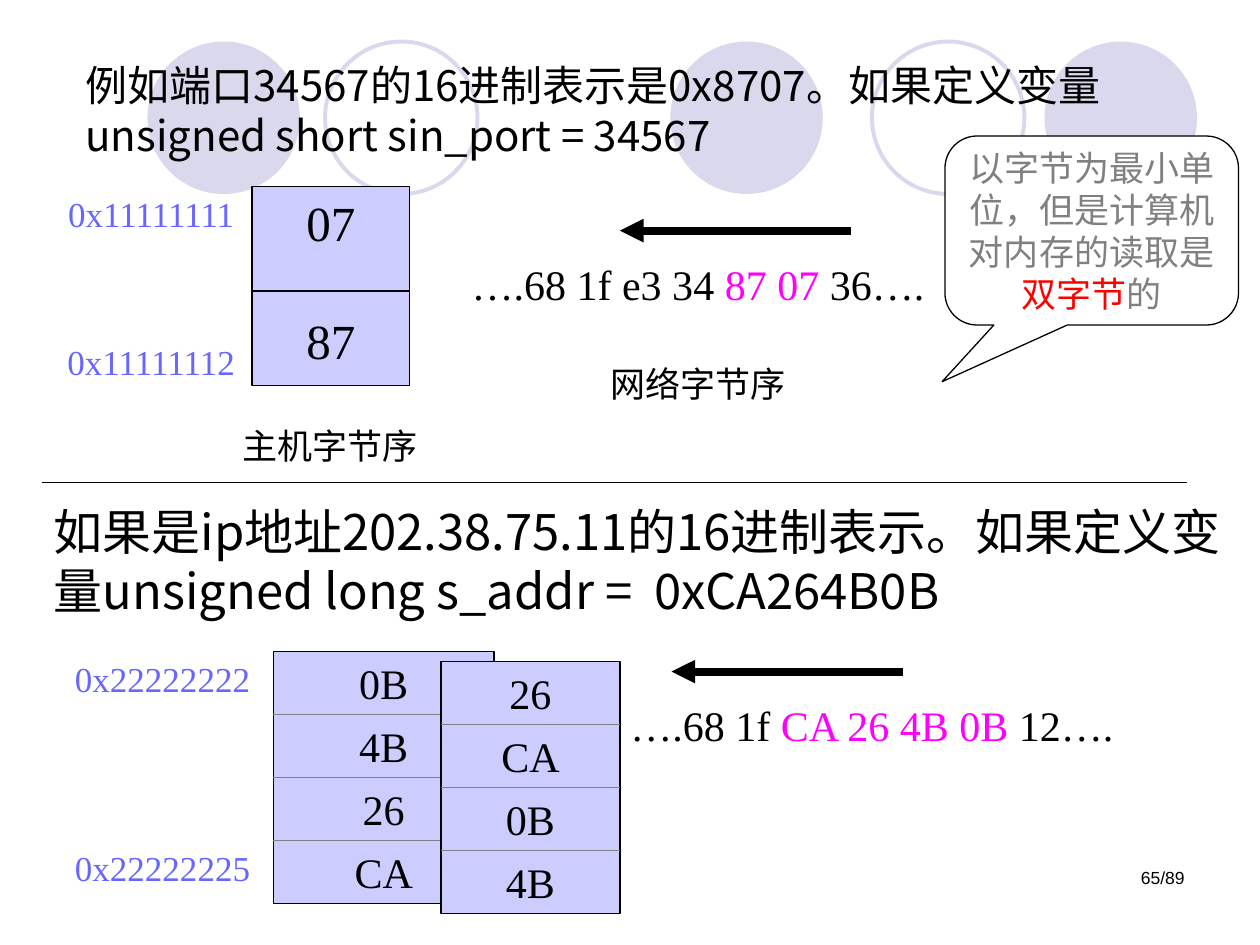
import pptx
import pptx.util
import pptx.dml.color
import pptx.enum.shapes
import pptx.enum.text
import pptx.oxml.ns
import lxml.etree

Inches, Pt = pptx.util.Inches, pptx.util.Pt
RGBColor = pptx.dml.color.RGBColor
SHAPES = pptx.enum.shapes.MSO_SHAPE
ALIGN = pptx.enum.text.PP_ALIGN
ANCHOR = pptx.enum.text.MSO_ANCHOR
qn = pptx.oxml.ns.qn

BLACK = RGBColor(0x00, 0x00, 0x00)
WHITE = RGBColor(0xFF, 0xFF, 0xFF)
GRAY = RGBColor(0x80, 0x80, 0x80)
RED = RGBColor(0xFF, 0x00, 0x00)
MAGENTA = RGBColor(0xFF, 0x00, 0xFF)
ADDRESS_BLUE = RGBColor(0x67, 0x67, 0xFF)
CELL_LILAC = RGBColor(0xCC, 0xCC, 0xFF)
CIRCLE_LILAC = RGBColor(0xD9, 0xD8, 0xEC)
SERIF, SANS, CJK = "Times New Roman", "Arial", "Noto Sans CJK JP"

presentation = pptx.Presentation()
presentation.slide_width = Inches(10)
presentation.slide_height = Inches(7.5)
slide = presentation.slides.add_slide(presentation.slide_layouts[6])


def add_text(left, top, width, height, runs, size, font=SERIF, align=ALIGN.CENTER):
    """Add a wrapped one-paragraph text box; runs are (text, colour) pairs."""
    box = slide.shapes.add_textbox(Inches(left), Inches(top), Inches(width), Inches(height))
    box.text_frame.word_wrap = True
    paragraph = box.text_frame.paragraphs[0]
    paragraph.alignment = align
    paragraph.font.size = Pt(size)
    paragraph.font.name = font
    for text, color in runs:
        run = paragraph.add_run()
        run.text = text
        run.font.color.rgb = color


def add_line(start_x, end_x, y, color=BLACK, width=0.75, arrow=False):
    """Add a horizontal line, with an arrowhead at its end if arrow is set."""
    connector = slide.shapes.add_connector(
        pptx.enum.shapes.MSO_CONNECTOR.STRAIGHT,
        Inches(start_x), Inches(y), Inches(end_x), Inches(y))
    connector.line.color.rgb = color
    connector.line.width = Pt(width)
    if arrow:
        lxml.etree.SubElement(connector.line._get_or_add_ln(), qn("a:tailEnd"), type="triangle")
    lxml.etree.SubElement(connector._element.spPr, qn("a:effectLst"))


# Background circles
for left, filled in [(5.32, True), (8.29, True), (1.17, True), (6.92, False), (2.58, False)]:
    circle = slide.shapes.add_shape(
        SHAPES.OVAL, Inches(left), Inches(0.33), Inches(1.21), Inches(1.21))
    circle.shadow.inherit = False
    if filled:
        circle.fill.solid()
        circle.fill.fore_color.rgb = CIRCLE_LILAC
        circle.line.fill.background()
    else:
        circle.fill.background()
        circle.line.color.rgb = CIRCLE_LILAC
        circle.line.width = Pt(2.25)

# Port example: two bytes in host memory
add_text(0.58, 0.42, 8.33, 0.9,
         [("例如端口34567的16进制表示是0x8707。如果定义变量unsigned short sin_port = 34567", BLACK)],
         24, CJK, ALIGN.LEFT)
port_memory = slide.shapes.add_shape(
    SHAPES.RECTANGLE, Inches(2), Inches(1.48), Inches(1.25), Inches(1.58))
port_memory.shadow.inherit = False
port_memory.fill.solid()
port_memory.fill.fore_color.rgb = CELL_LILAC
port_memory.line.color.rgb = BLACK
port_memory.line.width = Pt(0.75)
port_frame = port_memory.text_frame
port_frame.word_wrap = False
port_frame.vertical_anchor = ANCHOR.TOP
port_frame.text = "07\n87"
for paragraph in port_frame.paragraphs:
    paragraph.alignment = ALIGN.CENTER
    paragraph.font.size = Pt(28)
    paragraph.font.name = SERIF
    paragraph.font.color.rgb = BLACK
port_frame.paragraphs[1].space_before = Pt(34)
add_line(2, 3.25, 2.31)

# Memory addresses and byte order captions
for left, top, text, color in [
    (0.33, 1.48, "0x11111111", ADDRESS_BLUE),
    (0.33, 2.65, "0x11111112", ADDRESS_BLUE),
    (0.42, 5.17, "0x22222222", ADDRESS_BLUE),
    (0.42, 6.67, "0x22222225", ADDRESS_BLUE),
    (1.75, 3.32, "主机字节序", BLACK),
    (4.67, 2.83, "网络字节序", BLACK),
]:
    add_text(left, top, 1.74, 0.44, [(text, color)], 20)

# Network byte streams
add_text(3.58, 2, 3.92, 0.5,
         [("….68 1f e3 34 ", BLACK), ("87 07", MAGENTA), (" 36….", BLACK)], 24)
add_line(6.75, 4.92, 1.83, width=4.5, arrow=True)
add_text(4.42, 5.5, 5, 0.5,
         [("….68 1f ", BLACK), ("CA 26 4B 0B ", MAGENTA), ("12….", BLACK)], 24)
add_line(7.17, 5.33, 5.33, width=4.5, arrow=True)

# Callout
callout = slide.shapes.add_shape(
    SHAPES.ROUNDED_RECTANGULAR_CALLOUT, Inches(7.5), Inches(1.08), Inches(2.33), Inches(1.5))
callout.shadow.inherit = False
for index, value in enumerate([-0.51, 0.8, 0.17]):
    callout.adjustments[index] = value
callout.fill.solid()
callout.fill.fore_color.rgb = WHITE
callout.line.color.rgb = BLACK
callout.line.width = Pt(0.75)
callout.text_frame.word_wrap = True
callout.text_frame.vertical_anchor = ANCHOR.MIDDLE
paragraph = callout.text_frame.paragraphs[0]
paragraph.alignment = ALIGN.CENTER
paragraph.font.size = Pt(20)
paragraph.font.name = SERIF
for text, color in [("以字节为最小单位，但是计算机对内存的读取是", GRAY), ("双字节", RED), ("的", GRAY)]:
    run = paragraph.add_run()
    run.text = text
    run.font.color.rgb = color

# IP address example: four bytes in memory, in two orders
add_line(0.33, 9.42, 3.83)
add_text(0.33, 3.93, 9.58, 1.04,
         [("如果是ip地址202.38.75.11的16进制表示。如果定义变量unsigned long s_addr =  0xCA264B0B", BLACK)],
         28, CJK, ALIGN.LEFT)
ROW_HEIGHT = 0.5
for left, top, width, values in [
    (2.17, 5.17, 1.75, ["0B", "4B", "26", "CA"]),
    (3.5, 5.25, 1.42, ["26", "CA", "0B", "4B"]),
]:
    memory = slide.shapes.add_shape(
        SHAPES.RECTANGLE, Inches(left), Inches(top),
        Inches(width), Inches(ROW_HEIGHT * len(values)))
    memory.shadow.inherit = False
    memory.fill.solid()
    memory.fill.fore_color.rgb = CELL_LILAC
    memory.line.color.rgb = BLACK
    memory.line.width = Pt(0.75)
    for row, value in enumerate(values):
        row_top = top + row * ROW_HEIGHT
        if row > 0:
            add_line(left, left + width, row_top, GRAY)
        add_text(left + 0.3, row_top, width - 0.6, ROW_HEIGHT, [(value, BLACK)], 24)

add_text(7.17, 6.83, 2.33, 0.5, [("65/89", BLACK)], 10, SANS, ALIGN.RIGHT)

presentation.save("out.pptx")
